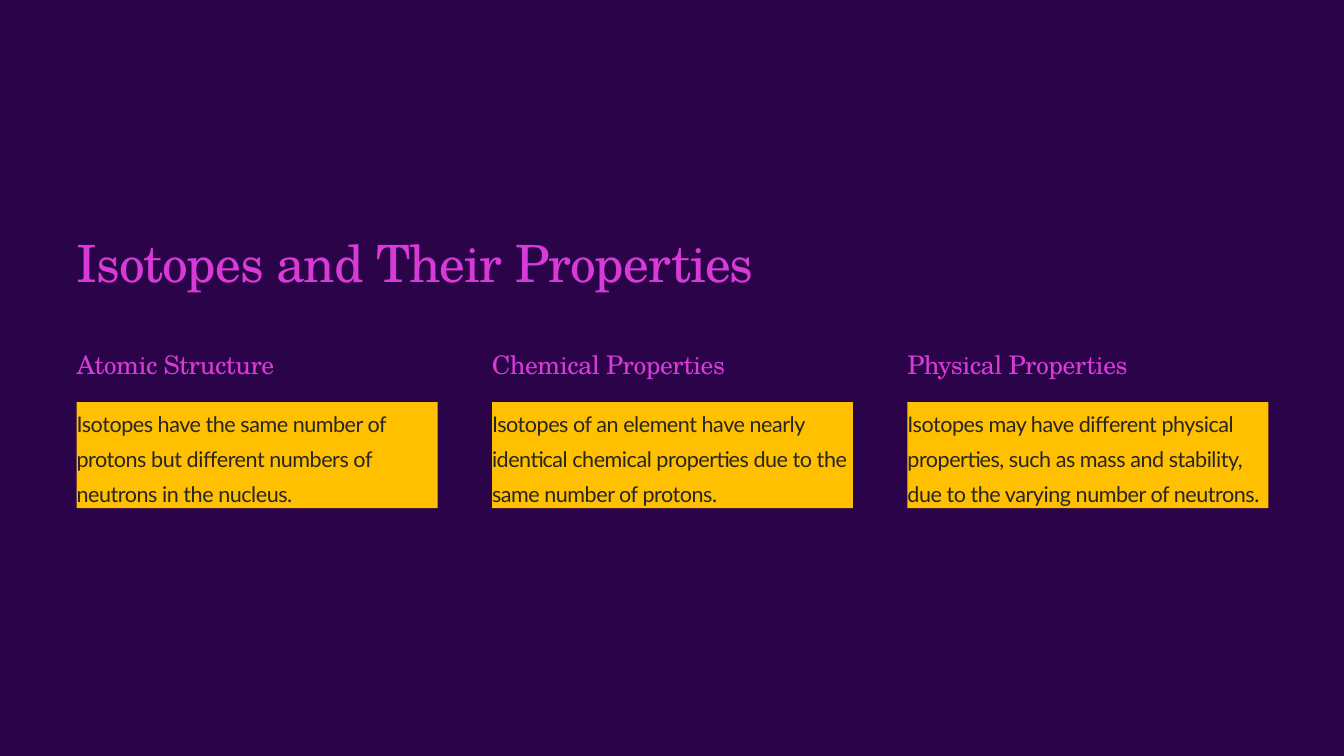
from pptx import Presentation
from pptx.dml.color import RGBColor
from pptx.enum.shapes import MSO_SHAPE
from pptx.enum.text import MSO_ANCHOR, MSO_AUTO_SIZE, PP_ALIGN
from pptx.util import Inches, Pt

SLIDE_WIDTH, SLIDE_HEIGHT = 13.33, 7.5
BACKGROUND, ACCENT, PANEL, INK = "2B0348", "D73AD7", "FFC000", "272525"
HEADING_FONT, BODY_FONT = "TeX Gyre Schola", "Lato"

MARGIN = 0.76
COLUMN_STEP = 4.12
COLUMN_WIDTH = 3.58
TITLE_TOP, HEADING_TOP, PANEL_TOP = 2.27, 3.45, 3.99

COLUMNS = [
    ("Atomic Structure",
     "Isotopes have the same number of protons but different numbers of "
     "neutrons in the nucleus."),
    ("Chemical Properties",
     "Isotopes of an element have nearly identical chemical properties due "
     "to the same number of protons."),
    ("Physical Properties",
     "Isotopes may have different physical properties, such as mass and "
     "stability, due to the varying number of neutrons."),
]


def set_fill(fill, color):
    fill.solid()
    fill.fore_color.rgb = RGBColor.from_string(color)


def write_text(shape, text, *, size, line, spacing, font=HEADING_FONT,
               color=ACCENT, wrap=False):
    """Put one left-aligned paragraph in a shape; sizes are in points."""
    frame = shape.text_frame
    frame.margin_left = frame.margin_right = 0
    frame.margin_top = frame.margin_bottom = 0
    frame.auto_size = MSO_AUTO_SIZE.NONE
    frame.vertical_anchor = MSO_ANCHOR.TOP
    frame.word_wrap = wrap
    paragraph = frame.paragraphs[0]
    paragraph.alignment = PP_ALIGN.LEFT
    paragraph.line_spacing = Pt(line)
    run = paragraph.add_run()
    run.text = text
    run.font.name = font
    run.font.size = Pt(size)
    run.font.color.rgb = RGBColor.from_string(color)
    run.font._element.set("spc", str(round(spacing * 100)))


def add_title(slide, text):
    title = slide.shapes.title
    title.left, title.top = Inches(MARGIN), Inches(TITLE_TOP)
    title.width, title.height = Inches(6.8), Inches(0.64)
    write_text(title, text, size=36.7, line=45.8, spacing=-0.7)


def add_heading(slide, left, text):
    heading = slide.shapes.add_textbox(
        Inches(left), Inches(HEADING_TOP), Inches(2.57), Inches(0.32))
    write_text(heading, text, size=18.3, line=22.9, spacing=-0.4)


def add_panel(slide, left, text):
    panel = slide.shapes.add_shape(
        MSO_SHAPE.RECTANGLE, Inches(left), Inches(PANEL_TOP),
        Inches(COLUMN_WIDTH), Inches(1.05))
    panel.shadow.inherit = False
    set_fill(panel.fill, PANEL)
    panel.line.fill.background()
    write_text(panel, text, size=15.4, line=25, spacing=-0.3,
               font=BODY_FONT, color=INK, wrap=True)


def main():
    presentation = Presentation()
    presentation.slide_width = Inches(SLIDE_WIDTH)
    presentation.slide_height = Inches(SLIDE_HEIGHT)
    title_only = presentation.slide_layouts.get_by_name("Title Only")
    slide = presentation.slides.add_slide(title_only)
    set_fill(slide.background.fill, BACKGROUND)

    add_title(slide, "Isotopes and Their Properties")
    for index, (heading, body) in enumerate(COLUMNS):
        left = MARGIN + index * COLUMN_STEP
        add_heading(slide, left, heading)
        add_panel(slide, left, body)

    presentation.save("out.pptx")


if __name__ == "__main__":
    main()
